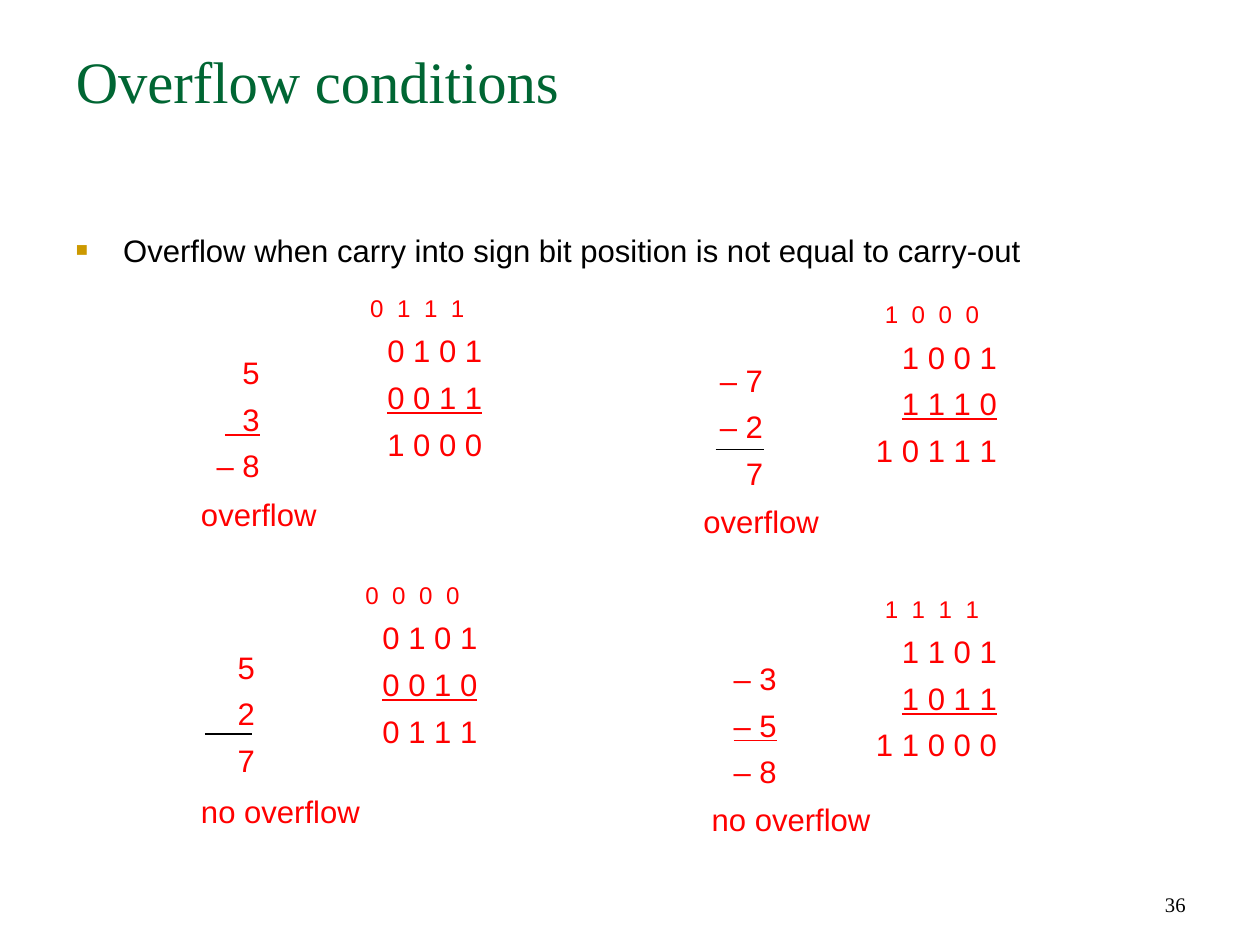
"""Build the slide on overflow conditions in two's complement addition."""
from lxml import etree
from pptx import Presentation
from pptx.dml.color import RGBColor
from pptx.enum.shapes import MSO_CONNECTOR
from pptx.enum.text import MSO_ANCHOR, PP_ALIGN
from pptx.oxml.ns import qn
from pptx.util import Cm, Pt

RIGHT = PP_ALIGN.RIGHT
BOTTOM = MSO_ANCHOR.BOTTOM
STRAIGHT = MSO_CONNECTOR.STRAIGHT
RED, BLACK, GREEN, GOLD = "FF0000", "000000", "006633", "CC9900"
SANS, SERIF = "Arial", "Times New Roman"
STEP = 0.53

deck = Presentation()
deck.slide_width, deck.slide_height = Cm(25.76), Cm(19.3)
slide = deck.slides.add_slide(deck.slide_layouts[6])


def color(code):
    return RGBColor.from_string(code)


def write(left, top, width, height, lines, size=18, face=SANS, ink=RED,
          pad=(0.05, 0.08), lead=None):
    box = slide.shapes.add_textbox(Cm(left), Cm(top), Cm(width), Cm(height))
    frame = box.text_frame
    frame.word_wrap = True
    frame.margin_left = frame.margin_right = Cm(pad[0])
    frame.margin_top = frame.margin_bottom = Cm(pad[1])
    for i, line in enumerate(lines):
        para = frame.paragraphs[0] if i == 0 else frame.add_paragraph()
        para.add_run().text = line
        props = para._p.get_or_add_pPr()
        if line.startswith("\t"):
            tabs = etree.SubElement(props, qn("a:tabLst"))
            etree.SubElement(tabs, qn("a:tab"), pos=str(Cm(STEP)), algn="l")
        if lead:
            para.line_spacing = Pt(lead)
        para.font.size = Pt(size)
        para.font.name = face
        para.font.color.rgb = color(ink)
    return frame


wide = (0.25, 0.13)
write(1.3, 0.79, 23.16, 3.2, ["Overflow conditions"], 34, SERIF, GREEN, wide)

body = write(1.3, 4.6, 23.16, 12.65, [
    "Overflow when carry into sign bit position is not equal to carry-out"],
    ink=BLACK, pad=wide)
props = body.paragraphs[0]._p.get_or_add_pPr()
props.set("marL", str(Cm(0.97)))
props.set("indent", str(-Cm(0.97)))
tint = etree.Element(qn("a:buClr"))
etree.SubElement(tint, qn("a:srgbClr"), val=GOLD)
marks = [tint, etree.Element(qn("a:buSzPct"), val="65000"),
         etree.Element(qn("a:buFont"), typeface=SANS),
         etree.Element(qn("a:buChar"), char="■")]
for i, mark in enumerate(marks):
    props.insert(i, mark)

page = write(18.47, 17.58, 6.02, 1.3, ["36"], 12, SERIF, BLACK, wide)
page.vertical_anchor = BOTTOM
page.paragraphs[0].alignment = RIGHT

terms = [
    (2.9, 6.96, ["5", "3", "– 8"], False),
    (13.19, 7.11, ["– 7", "– 2", "7"], False),
    (2.8, 12.98, ["5", "2", "7"], False),
    (13.47, 13.21, ["– 3", "– 5", "– 8"], True),
]
for left, top, lines, under in terms:
    frame = write(left, top, 2.46, 3.2, lines, lead=27)
    for para in frame.paragraphs:
        para.alignment = RIGHT
    if under:
        frame.paragraphs[1].font.underline = True

sums = [
    (7.34, 5.56, ["0 1 1 1", "0 1 0 1", "0 0 1 1", "1 0 0 0"]),
    (17.86, 5.69, ["1 0 0 0", "1 0 0 1", "\t1 1 1 0", "1 0 1 1 1"]),
    (7.24, 11.43, ["0 0 0 0", "0 1 0 1", "\t0 0 1 0", "0 1 1 1"]),
    (17.86, 11.71, ["1 1 1 1", "1 1 0 1", "\t1 0 1 1", "1 1 0 0 0"]),
]
for left, top, lines in sums:
    paras = write(left, top, 3.2, 4.7, lines, lead=27).paragraphs
    for para, line in zip(paras, lines):
        if len(line) == 7:
            para._p.get_or_add_pPr().set("marL", str(Cm(STEP)))
    carry = paras[0]
    carry.font.size = Pt(14)
    carry._p.get_or_add_pPr().set("marL", str(Cm(0.18)))
    carry.runs[0]._r.get_or_add_rPr().set("spc", "195")
    paras[2].font.underline = True

labels = [
    (4.06, 10.08, "overflow"), (14.33, 10.21, "overflow"),
    (4.06, 16.15, "no overflow"), (14.5, 16.31, "no overflow"),
]
for left, top, label in labels:
    write(left, top, 4.06, 1.09, [label], lead=21)

rules = [(4.6, 5.31, 8.89, RED), (14.63, 15.62, 9.19, BLACK),
         (4.19, 5.16, 15.01, BLACK)]
for start, end, y, ink in rules:
    rule = slide.shapes.add_connector(STRAIGHT, Cm(start), Cm(y), Cm(end), Cm(y))
    rule.line.color.rgb = color(ink)
    rule.line.width = Pt(1)
    etree.SubElement(rule._element.spPr, qn("a:effectLst"))

deck.save("out.pptx")
